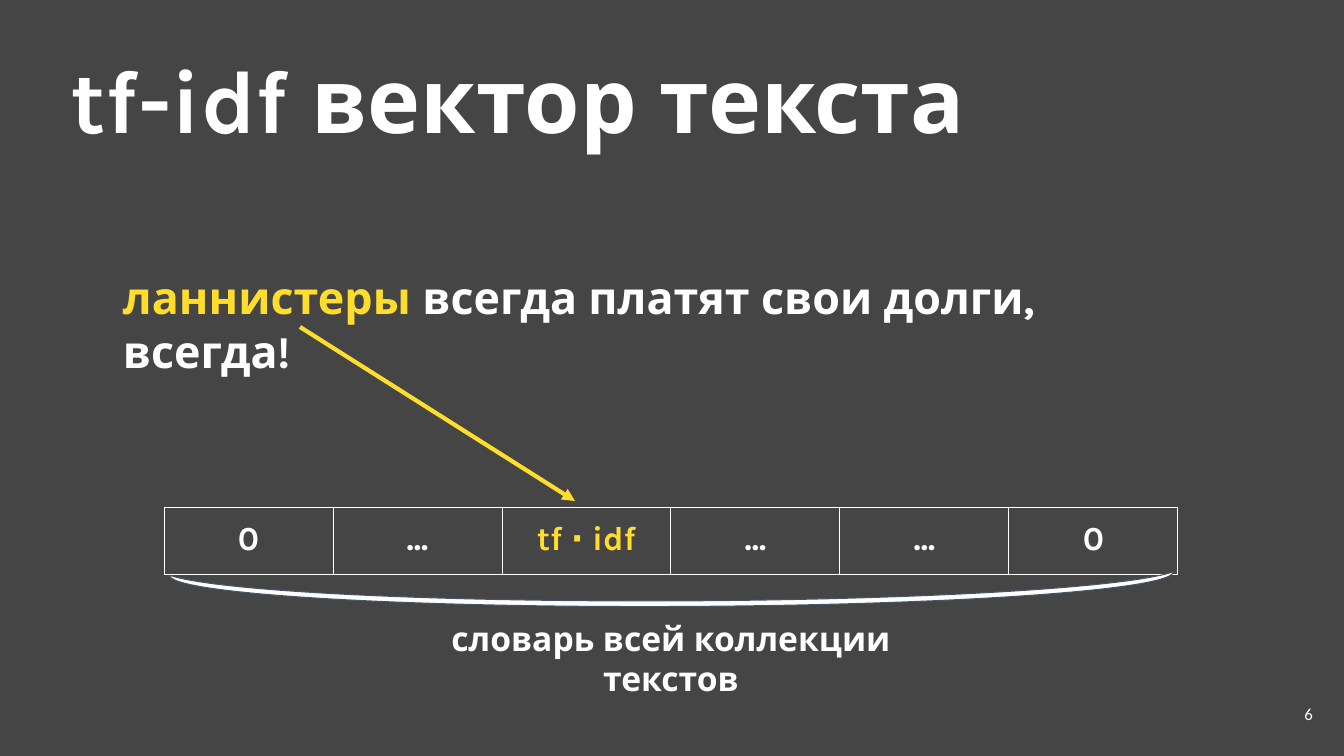
"""Build the slide that explains the tf-idf vector of a text."""
from lxml.etree import SubElement
from pptx import Presentation
from pptx.dml.color import RGBColor
from pptx.enum.shapes import MSO_CONNECTOR as CONN, MSO_SHAPE as SHAPE
from pptx.enum.text import MSO_ANCHOR as ANCHOR, PP_ALIGN as ALIGN
from pptx.oxml import parse_xml
from pptx.oxml.ns import nsdecls, qn
from pptx.util import Pt

PX = 914400 / 100.8
WHITE = RGBColor(0xFF, 0xFF, 0xFF)
YELLOW = RGBColor(0xFF, 0xDD, 0x2D)
GRAY = RGBColor(0x45, 0x45, 0x45)
SLATE = RGBColor(0x44, 0x54, 0x6A)
PAD = 13

TEXTS = [
    dict(box=(57, 31, 1106, 118), size=64,
         runs=[("tf-idf вектор текста", WHITE)]),
    dict(box=(110, 257, 1115, 67), size=32,
         runs=[("ланнистеры ", YELLOW),
               ("всегда платят свои долги, всегда!", WHITE)]),
    dict(box=(410, 611, 522, 45), size=24, align=ALIGN.CENTER, pad_y=7,
         runs=[("словарь всей коллекции текстов", WHITE)]),
    dict(box=(1245, 685, 81, 57), size=12, align=ALIGN.RIGHT,
         anchor=ANCHOR.MIDDLE, font="Calibri", bold=False,
         runs=[("6", WHITE)]),
]
VECTOR = [("0", WHITE), ("...", WHITE), ("tf ∙ idf", YELLOW),
          ("...", WHITE), ("...", WHITE), ("0", WHITE)]
VECTOR_LEFT, VECTOR_TOP, CELL_W, CELL_H = 164, 507, 169, 67
ARROW = (300, 327, 575, 501)
BRACE = (655, 88, 33, 1004)


def emu(*lengths):
    return [round(v * PX) for v in lengths]


def write(tf, runs, size, align=ALIGN.LEFT, font="Karla", bold=True):
    p = tf.paragraphs[0]
    p.alignment = align
    for text, color in runs:
        r = p.add_run()
        r.text = text
        r.font.size, r.font.name, r.font.bold = Pt(size), font, bold
        r.font.color.rgb = color


def set_margins(target, pad_y=PAD):
    target.margin_left, target.margin_right = emu(PAD, PAD)
    target.margin_top, target.margin_bottom = emu(pad_y, pad_y)


def add_text(slide, box, pad_y=PAD, anchor=ANCHOR.TOP, **text):
    tf = slide.shapes.add_textbox(*emu(*box)).text_frame
    tf.word_wrap = True
    tf.vertical_anchor = anchor
    set_margins(tf, pad_y)
    write(tf, **text)


def add_borders(cell):
    tcPr = cell._tc.get_or_add_tcPr()
    for i, side in enumerate("LRTB"):
        tcPr.insert(i, parse_xml(
            f'<a:ln{side} {nsdecls("a")} w="{Pt(0.75)}"><a:solidFill>'
            f'<a:srgbClr val="{WHITE}"/></a:solidFill></a:ln{side}>'))


def add_vector(slide):
    table = slide.shapes.add_table(1, len(VECTOR), *emu(
        VECTOR_LEFT, VECTOR_TOP, CELL_W * len(VECTOR), CELL_H)).table
    table.first_row = table.horz_banding = False
    for col, cell, entry in zip(table.columns, table.iter_cells(), VECTOR):
        col.width = emu(CELL_W)[0]
        cell.fill.background()
        set_margins(cell)
        write(cell.text_frame, [entry], 24, ALIGN.CENTER)
        add_borders(cell)


def add_arrow(slide):
    line = slide.shapes.add_connector(CONN.STRAIGHT, *emu(*ARROW))
    line.line.color.rgb = YELLOW
    line.line.width = Pt(3)
    SubElement(line.line._get_or_add_ln(), qn("a:tailEnd"), type="triangle")
    SubElement(line._element.spPr, qn("a:effectLst"))


def add_brace(slide):
    sp = slide.shapes.add_shape(SHAPE.MOON, *emu(*BRACE))
    sp.adjustments[0] = 0.17
    sp.rotation = 269.8
    sp.shadow.inherit = False
    sp.fill.solid()
    sp.fill.fore_color.rgb = WHITE
    sp.line.color.rgb = SLATE
    sp.line.width = Pt(0.75)


prs = Presentation()
prs.slide_width, prs.slide_height = emu(1344, 756)
slide = prs.slides.add_slide(prs.slide_layouts[6])
slide.background.fill.solid()
slide.background.fill.fore_color.rgb = GRAY
for item in TEXTS:
    add_text(slide, **item)
add_vector(slide)
add_arrow(slide)
add_brace(slide)
prs.save("out.pptx")
